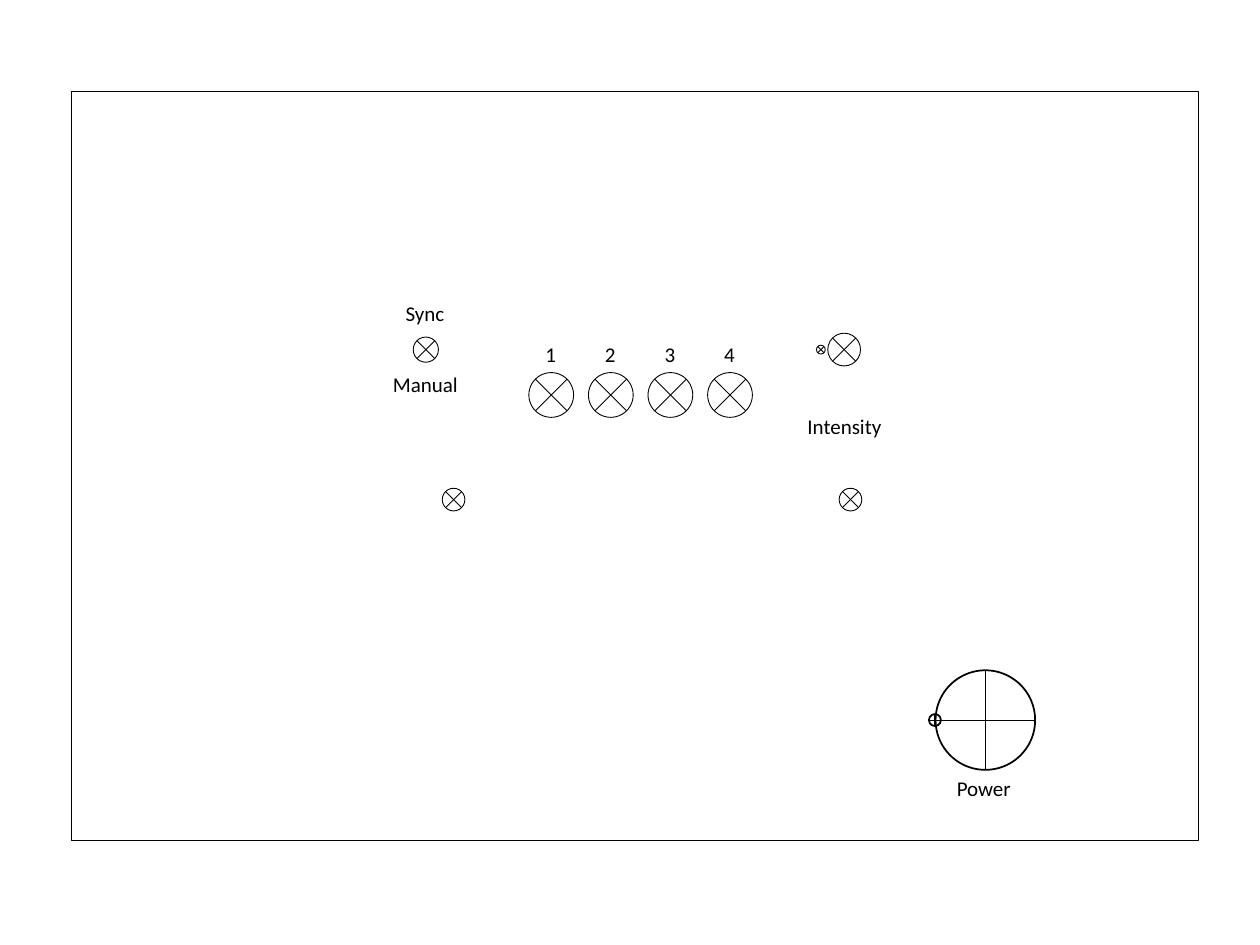
from math import cos, pi, sin

from lxml import etree
from pptx import Presentation
from pptx import util as u
from pptx.dml.color import RGBColor
from pptx.enum import shapes, text
from pptx.oxml.ns import qn

THEME = {"ink": RGBColor(0, 0, 0), "font": "Calibri", "label": u.Pt(12),
         "thin": u.Pt(0.5), "bold": u.Pt(1)}

deck = Presentation()
deck.slide_width, deck.slide_height = u.Inches(10), u.Inches(7.5)
page = deck.slides.add_slide(deck.slide_layouts[6])

# The slide is a grid of 100 columns by 75 rows with square cells
CELL = deck.slide_width / 100


def add_outline(kind, left, top, width, height, weight):
    shape = page.shapes.add_shape(
        kind, *(round(n * CELL) for n in (left, top, width, height)))
    shape.shadow.inherit = False
    shape.fill.background()
    shape.line.color.rgb = THEME["ink"]
    shape.line.width = weight


def add_hole(x, y, diameter, weight=THEME["thin"], tilt=pi / 4):
    """Draw a circle centred on x, y with two crossing diameters."""
    radius = diameter / 2
    add_outline(shapes.MSO_SHAPE.OVAL, x - radius, y - radius,
                diameter, diameter, weight)
    for angle in (tilt, tilt + pi / 2):
        dx, dy = radius * cos(angle), radius * sin(angle)
        line = page.shapes.add_connector(
            shapes.MSO_CONNECTOR.STRAIGHT,
            *(round(n * CELL) for n in (x - dx, y - dy, x + dx, y + dy)))
        line.line.color.rgb = THEME["ink"]
        line.line.width = THEME["thin"]
        etree.SubElement(line._element.spPr, qn("a:effectLst"))


# Panel edge
add_outline(shapes.MSO_SHAPE.RECTANGLE, 5.7, 7.3, 89.4, 59.4, THEME["thin"])

# Intensity knob with its locating pin, and the sync switch
UPPER_ROW = 27.75
for x, diameter in ((67, 2.6), (65.15, 0.7), (33.8, 2)):
    add_hole(x, UPPER_ROW, diameter)

# Channel holes
channels = [43.75 + 4.73 * i for i in range(4)]
for x in channels:
    add_hole(x, 31.35, 3.55)

# Mounting holes
for x in (36, 67.5):
    add_hole(x, 39.65, 1.8)

# Power socket with its key notch
for x, diameter in ((78.2, 7.9), (74.2, 0.95)):
    add_hole(x, 57.15, diameter, THEME["bold"], tilt=0)

# Labels: wording, centre column, top row, width
labels = [(str(i), x, 26.6, 2.9) for i, x in enumerate(channels, 1)]
labels += [("Intensity", 67.05, 32.3, 7.9), ("Sync", 33.75, 23.4, 5.1),
           ("Manual", 33.8, 29, 7.2), ("Power", 78.2, 61.1, 6.5)]
for wording, x, top, width in labels:
    box = page.shapes.add_textbox(
        *(round(n * CELL) for n in (x - width / 2, top, width, 3)))
    frame = box.text_frame
    frame.word_wrap = False
    frame.auto_size = text.MSO_AUTO_SIZE.SHAPE_TO_FIT_TEXT
    para = frame.paragraphs[0]
    para.text = wording
    para.font.name = THEME["font"]
    para.font.size = THEME["label"]
    para.font.color.rgb = THEME["ink"]

deck.save("out.pptx")
